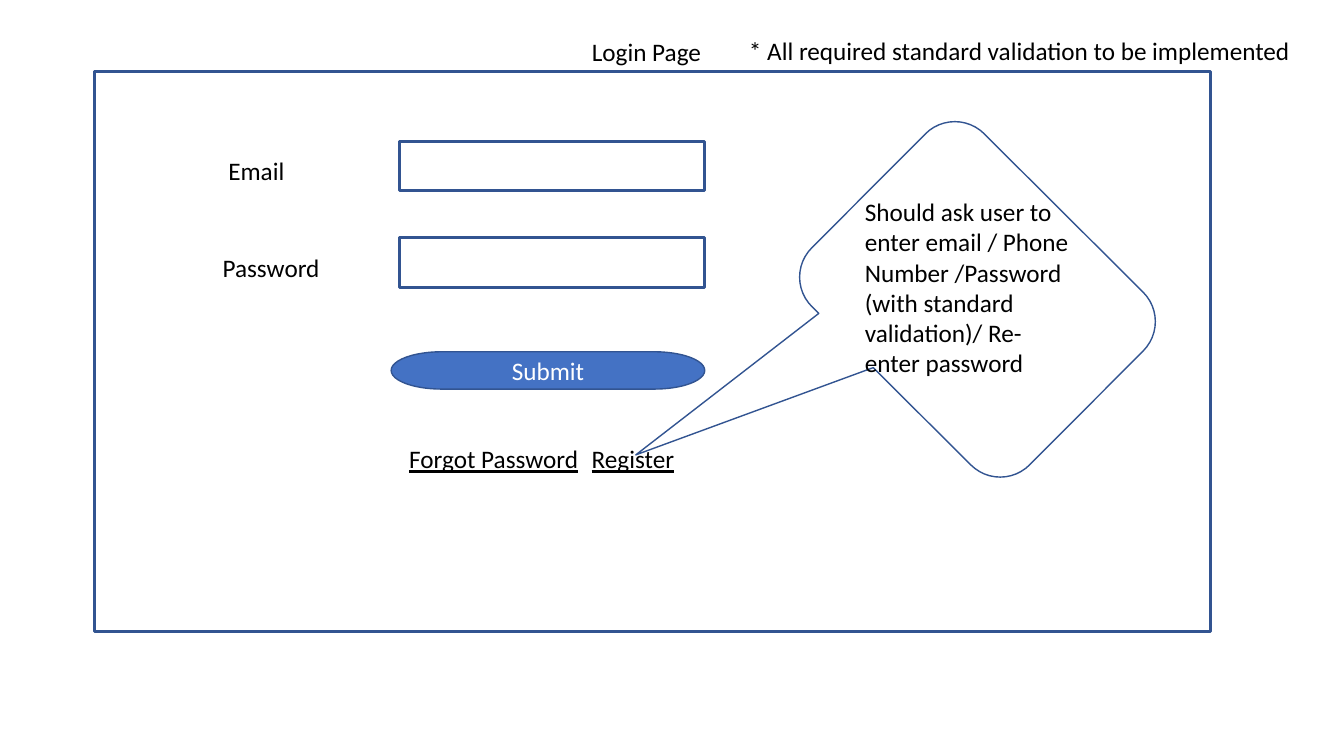
from pptx import Presentation
from pptx.dml.color import RGBColor
from pptx.enum import shapes, text
from pptx.util import Inches, Pt

OUTLINE = "325491"
BLACK = "000000"


def write(shape, words, color=BLACK, underline=None):
    frame = shape.text_frame
    frame.text = words
    frame.word_wrap = True
    frame.auto_size = text.MSO_AUTO_SIZE.NONE
    frame.vertical_anchor = text.MSO_ANCHOR.TOP
    para = frame.paragraphs[0]
    para.alignment = text.PP_ALIGN.LEFT
    font = para.runs[0].font
    font.name = "Calibri"
    font.size = Pt(18)
    font.underline = underline
    font.color.rgb = RGBColor.from_string(color)


def draw(kind, left, top, width, height, weight, fill=None):
    shape = slide.shapes.add_shape(
        kind, Inches(left), Inches(top), Inches(width), Inches(height))
    shape.shadow.inherit = False
    shape.line.color.rgb = RGBColor.from_string(OUTLINE)
    shape.line.width = Pt(weight)
    if fill:
        shape.fill.solid()
        shape.fill.fore_color.rgb = RGBColor.from_string(fill)
    else:
        shape.fill.background()
    return shape


deck = Presentation()
deck.slide_width = Inches(13.33)
deck.slide_height = Inches(7.5)
slide = deck.slides.add_slide(deck.slide_layouts[5])

title = slide.shapes.title
title.left, title.top = Inches(5.77), Inches(0.31)
title.width, title.height = Inches(1.42), Inches(0.4)
write(title, "Login Page")

page_frame = draw(shapes.MSO_SHAPE.RECTANGLE, 0.94, 0.71, 11.07, 5.56, 2)

for row, label in enumerate([" Email", "Password"]):
    top = 1.4 + row * 0.96
    label_box = slide.shapes.add_textbox(
        Inches(2.11), Inches(top + 0.09), Inches(1.77), Inches(0.4))
    write(label_box, label)
    draw(shapes.MSO_SHAPE.RECTANGLE, 3.96, top, 3.03, 0.49, 2)

submit = draw(shapes.MSO_SHAPE.FLOWCHART_TERMINATOR,
              3.88, 3.49, 3.11, 0.37, 1, "4472C4")
write(submit, "Submit", "FFFFFF")
submit.text_frame.vertical_anchor = text.MSO_ANCHOR.MIDDLE
submit.text_frame.paragraphs[0].alignment = text.PP_ALIGN.CENTER

for left, label in [(3.96, "Forgot Password"), (5.77, "Register")]:
    link_box = slide.shapes.add_textbox(
        Inches(left), Inches(4.35), Inches(2.08), Inches(0.4))
    write(link_box, label, underline=True)

callout = draw(shapes.MSO_SHAPE.ROUNDED_RECTANGULAR_CALLOUT,
               8.17, 1.76, 3.05, 2.42, 1)
callout.rotation = 44.9
for index, value in enumerate([-0.43, 1.44, 0.17]):
    callout.adjustments[index] = value

notes = [
    (8.48, 1.9, 2.23, 1.92,
     "Should ask user to enter email / Phone Number /Password "
     "(with standard validation)/ Re-enter password"),
    (7.33, 0.3, 5.68, 0.4,
     "* All required standard validation to be implemented"),
]
for left, top, width, height, words in notes:
    note_box = slide.shapes.add_textbox(
        Inches(left), Inches(top), Inches(width), Inches(height))
    write(note_box, words)

deck.save("out.pptx")
